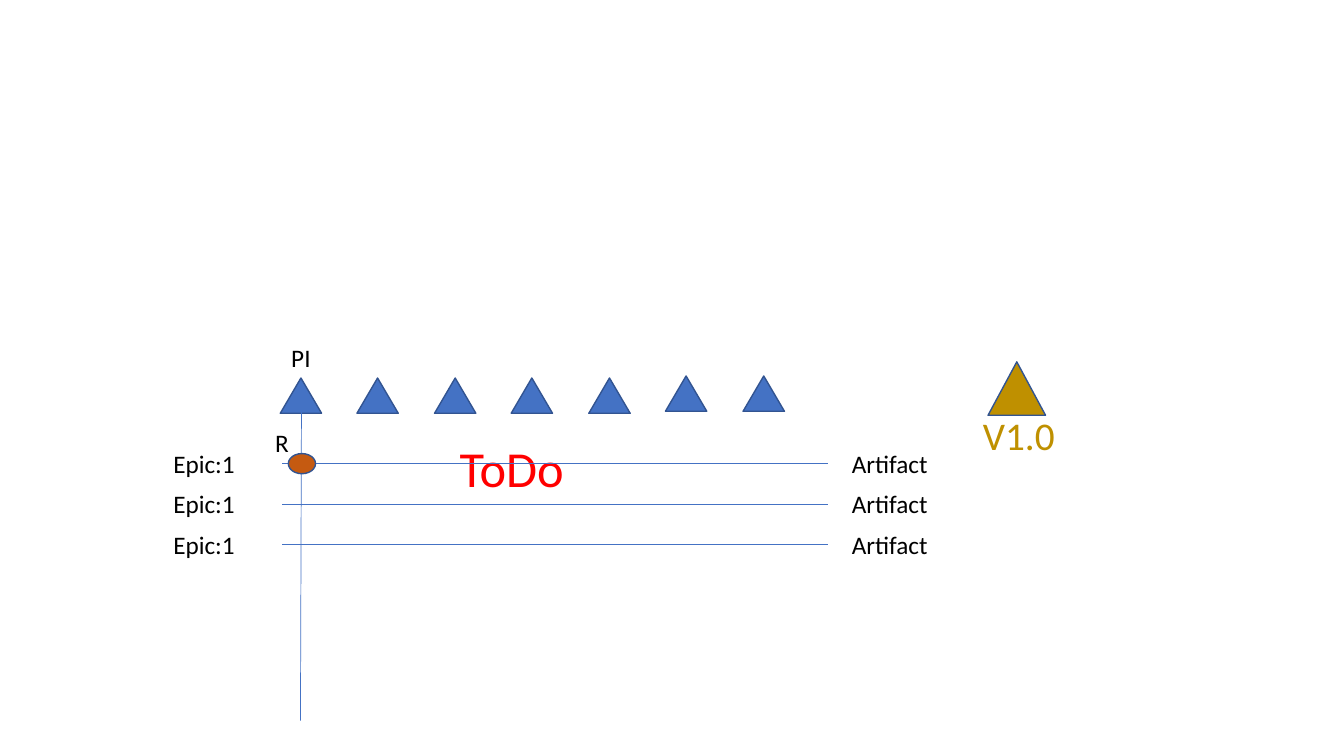
from lxml import etree
from pptx import Presentation
from pptx import util as u
from pptx.dml.color import RGBColor
from pptx.enum import shapes, text
from pptx.oxml.ns import qn

PX = 9144  # 100 px to the inch
BLUE = RGBColor(0x44, 0x72, 0xC4)
OUTLINE = RGBColor(0x32, 0x54, 0x91)
GOLD = RGBColor(0xBF, 0x90, 0x00)
ORANGE = RGBColor(0xC5, 0x5A, 0x11)
RED = RGBColor(0xFF, 0x00, 0x00)
BLACK = RGBColor(0x00, 0x00, 0x00)

prs = Presentation()
prs.slide_width, prs.slide_height = 1333 * PX, 750 * PX
slide = prs.slides.add_slide(prs.slide_layouts[6])


def add_label(words, left, top, width, height, size=18, color=BLACK, wrap=True):
    box = slide.shapes.add_textbox(left * PX, top * PX, width * PX, height * PX)
    frame = box.text_frame
    frame.word_wrap = wrap
    frame.auto_size = text.MSO_AUTO_SIZE.SHAPE_TO_FIT_TEXT
    run = frame.paragraphs[0].add_run()
    run.text = words
    run.font.name = "Calibri"
    run.font.size = u.Pt(size)
    run.font.color.rgb = color


def add_marker(preset, left, top, width, height, fill):
    marker = slide.shapes.add_shape(preset, left * PX, top * PX, width * PX, height * PX)
    marker.shadow.inherit = False
    marker.fill.solid()
    marker.fill.fore_color.rgb = fill
    marker.line.color.rgb = OUTLINE
    marker.line.width = u.Pt(1)


TRIANGLE = shapes.MSO_SHAPE.ISOSCELES_TRIANGLE

add_label("ToDo", 446, 429, 125, 71, size=36, color=RED, wrap=False)

# Release
add_marker(TRIANGLE, 980, 359, 57, 53, GOLD)
add_label("V1.0", 965, 403, 114, 57, size=28, color=GOLD)

# Program increments, the last two slightly higher
for increment in range(7):
    add_marker(TRIANGLE, 278 + increment * 153 // 2, 375 if increment < 5 else 373, 41, 35, BLUE)

# Epic rows, each running to its artifact, and the line down from the first increment
timelines = [(299, 409, 298, 715)]
for row_y in range(460, 541, 40):
    add_label("Epic:1", 162, row_y - 20, 99, 40)
    add_label("Artifact", 835, row_y - 20, 99, 40)
    timelines.append((280, row_y, 821, row_y))

for ends in timelines:
    timeline = slide.shapes.add_connector(
        shapes.MSO_CONNECTOR.STRAIGHT, *(end * PX for end in ends))
    timeline.line.color.rgb = BLUE
    timeline.line.width = u.Pt(0.5)
    etree.SubElement(timeline._element.spPr, qn("a:effectLst"))

add_marker(shapes.MSO_SHAPE.OVAL, 286, 450, 27, 20, ORANGE)
add_label("PI", 279, 335, 39, 40, wrap=False)
add_label("R", 263, 419, 34, 40, wrap=False)

prs.save("out.pptx")
